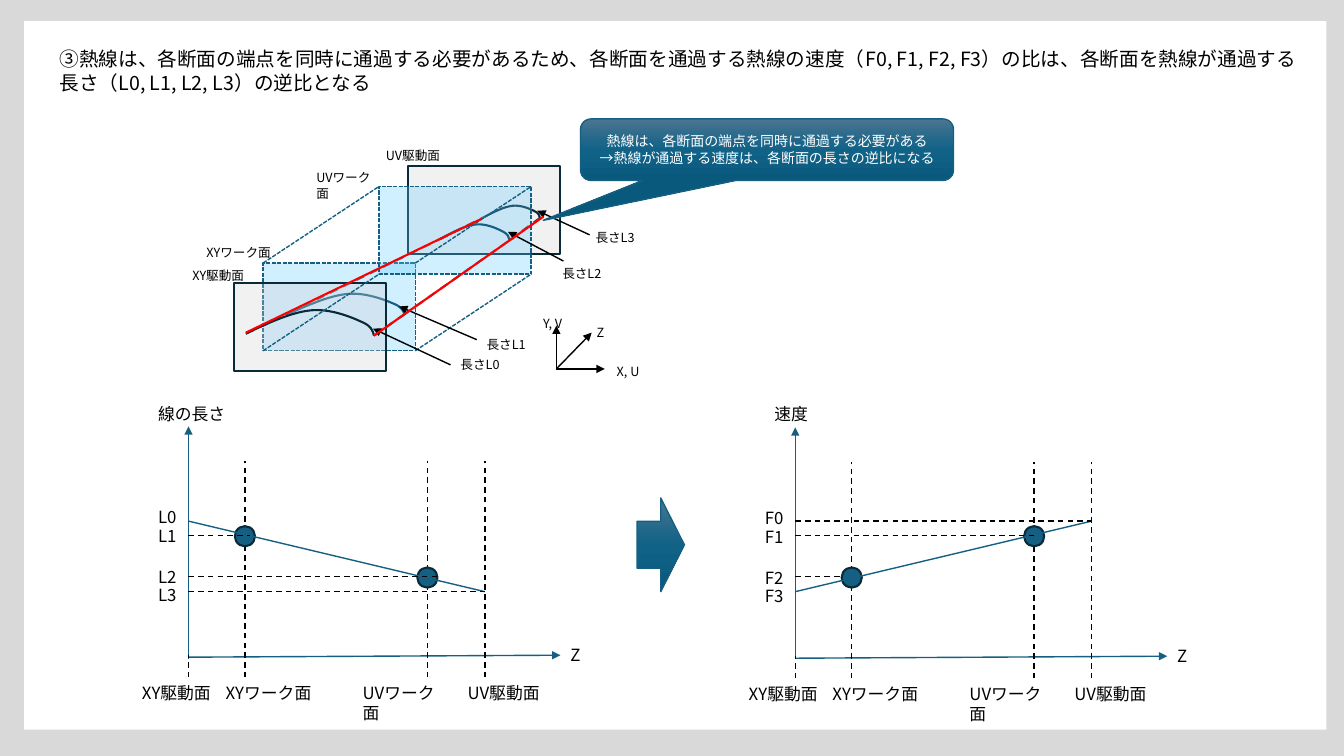
"""Build the slide on hot-wire speed ratios between cutting sections."""
import copy
import itertools

import pptx
import pptx.dml.color
import pptx.enum.dml
import pptx.enum.shapes
import pptx.enum.text
import pptx.util
from lxml import etree
from pptx.oxml.ns import qn

RGB = pptx.dml.color.RGBColor
BLACK, WHITE, GREY = RGB(0, 0, 0), RGB(255, 255, 255), RGB(0xD9, 0xD9, 0xD9)
TEAL, NAVY, RED = RGB(0x15, 0x60, 0x82), RGB(0x09, 0x2A, 0x39), RGB(255, 0, 0)
SKY, SILVER = RGB(0x66, 0xCC, 0xFF), RGB(0xD1, 0xD1, 0xD1)
GLOSS = (RGB(0x4C, 0x75, 0x91), RGB(0x10, 0x62, 0x87), RGB(0x09, 0x59, 0x7D))
FONT = "Noto Sans CJK JP"
KIND = pptx.enum.shapes.MSO_SHAPE
DASH = pptx.enum.dml.MSO_LINE.DASH
SHORT_DASH = pptx.enum.dml.MSO_LINE.SQUARE_DOT
LEFT, CENTER = pptx.enum.text.PP_ALIGN.LEFT, pptx.enum.text.PP_ALIGN.CENTER
ANCHOR = pptx.enum.text.MSO_ANCHOR

TITLE = ("③熱線は、各断面の端点を同時に通過する必要があるため、各断面を通過する熱線の速度"
         "（F0, F1, F2, F3）の比は、各断面を熱線が通過する長さ（L0, L1, L2, L3）の逆比となる")
CALLOUT = ["熱線は、各断面の端点を同時に通過する必要がある",
           "→熱線が通過する速度は、各断面の長さの逆比になる"]

Z_STOPS = (0, 0.56, 2.37, 2.94)
LEVELS = (5.17, 5.31, 5.72, 5.87)
STOP_LABELS = [("XY駆動面", -0.56, 0.96, False), ("XYワーク面", 0.27, 1.09, False),
               ("UVワーク面", 1.63, 1.07, True), ("UV駆動面", 2.67, 0.97, False)]
GRAPHS = [
    {"origin": 1.87, "drop": 0, "name": "線の長さ", "name_at": (1.47, 1.3), "align": LEFT,
     "letter": "L", "slope": (0, 3), "dots": ((1, 1), (2, 2)),
     "guides": ((1, 0.61), (2, 2.47), (3, 2.94))},
    {"origin": 7.89, "drop": 0.01, "name": "速度", "name_at": (7.57, 0.56), "align": CENTER,
     "letter": "F", "slope": (3, 0), "dots": ((1, 2), (2, 1)),
     "guides": ((1, 2.37), (0, 2.94), (2, 0.46))},
]

FACE = (1.51, 0.87)
FRONT_WORK, REAR_WORK = (2.61, 2.61), (3.76, 1.85)
ARC = [(0, 0), (0.23, -0.11), (0.45, -0.21), (0.64, -0.23), (0.83, -0.25), (1.03, -0.17),
       (1.14, -0.12), (1.24, -0.08), (1.26, -0.03), (1.27, 0.02)]
SECTIONS = [
    (FRONT_WORK, SKY, (2.87, 3.11), (0.9, 0.84)),
    ((2.32, 2.81), SILVER, (2.44, 3.31), (1, 1)),
    ((4.05, 1.65), SILVER, (4.81, 2.15), (0.43, 0.47)),
    (REAR_WORK, SKY, (4.37, 2.37), (0.54, 0.62)),
]
FACE_LABELS = [("XY駆動面", 1.81, 2.61, 0.77, False), ("XYワーク面", 1.95, 2.38, 0.87, False),
               ("UVワーク面", 3.04, 1.64, 0.84, True), ("UV駆動面", 3.73, 1.42, 0.78, False),
               ("X, U", 6.02, 3.56, 0.49, False), ("Y, V", 5.29, 3.08, 0.47, False),
               ("Z", 5.82, 3.17, 0.3, False)]
LENGTHS = [("長さL0", (4.47, 3.49), (4.47, 3.62), (3.7, 3.26)),
           ("長さL1", (4.73, 3.29), (4.73, 3.37), (3.96, 3.04)),
           ("長さL2", (5.48, 2.59), (5.59, 2.59), (5.04, 2.3)),
           ("長さL3", (5.81, 2.23), (5.85, 2.33), (5.33, 2.09))]
AXES_ORIGIN, AXES_ENDS = (5.52, 3.66), [(5.87, 3.3), (5.52, 3.23), (6, 3.66)]
HIDDEN_EDGES = [((2.88, 3.1), (4.39, 2.36), TEAL), ((2.44, 3.31), (2.88, 3.1), BLACK),
                ((3.71, 3.33), (4.01, 3.12), BLACK), ((5.06, 2.38), (5.36, 2.16), BLACK),
                ((4.37, 2.37), (4.81, 2.15), BLACK), ((4.01, 3.12), (5.06, 2.38), TEAL)]
WIRES = [((3.71, 3.33), (5.39, 2.15)), ((2.44, 3.3), (4.78, 2.17))]

inches = pptx.util.Inches


def style_paragraph(para, size, color, align):
    para.alignment = align
    para.font.size = pptx.util.Pt(size)
    para.font.name = FONT
    para.font.color.rgb = color
    defaults = para.font.fill._xPr
    etree.SubElement(defaults, qn("a:ea")).set("typeface", FONT)


def add_label(shapes, words, left, top, width, size, wrap=True, align=LEFT):
    height = 0.3 if size == 12 else 0.25
    box = shapes.add_textbox(*map(inches, (left, top, width, height)))
    box.text_frame.word_wrap = wrap
    box.text_frame.auto_size = pptx.enum.text.MSO_AUTO_SIZE.SHAPE_TO_FIT_TEXT
    box.text_frame.text = words
    style_paragraph(box.text_frame.paragraphs[0], size, BLACK, align)


def set_line(line, color, width, dash=None):
    line.color.rgb = color
    line.width = pptx.util.Pt(width)
    if dash:
        line.dash_style = dash


def add_line(shapes, start, end, color, width=1, dash=None, arrow=False):
    line = shapes.add_connector(pptx.enum.shapes.MSO_CONNECTOR.STRAIGHT,
                                *map(inches, (*start, *end)))
    set_line(line.line, color, width, dash)
    if arrow:
        etree.SubElement(line.line._ln, qn("a:tailEnd")).set("type", "triangle")
    etree.SubElement(line.element.spPr, qn("a:effectLst"))


def add_solid(shapes, kind, area, fill, outline=None, width=1, dash=None, opacity=None):
    shape = shapes.add_shape(kind, *map(inches, area))
    shape.shadow.inherit = False
    shape.fill.solid()
    shape.fill.fore_color.rgb = fill
    if opacity:
        color = shape.element.spPr.find(qn("a:solidFill"))[0]
        etree.SubElement(color, qn("a:alpha")).set("val", str(opacity * 1000))
    if outline is None:
        shape.line.fill.background()
    else:
        set_line(shape.line, outline, width, dash)
    return shape


def add_glossy(shapes, kind, area):
    shape = add_solid(shapes, kind, area, TEAL, TEAL)
    shape.fill.gradient()
    shape.fill.gradient_angle = 270
    stops = shape.element.spPr.find(qn("a:gradFill")).find(qn("a:gsLst"))
    stops.append(copy.deepcopy(stops[0]))
    for stop, color, position in zip(shape.fill.gradient_stops, GLOSS, (0, 0.5, 1)):
        stop.color.rgb = color
        stop.position = position
    return shape


def add_arc(shapes, start, scale, color):
    points = [(inches(start[0] + x * scale[0]), inches(start[1] + y * scale[1])) for x, y in ARC]
    builder = shapes.build_freeform(*points[0])
    builder.add_line_segments(points[1:], close=False)
    arc = builder.convert_to_shape()
    arc.shadow.inherit = False
    arc.fill.background()
    set_line(arc.line, color, 1.5)
    segments = list(arc.element.iter(qn("a:lnTo")))
    for first in range(0, len(segments), 3):
        curve = etree.SubElement(segments[first].getparent(), qn("a:cubicBezTo"))
        for segment in segments[first:first + 3]:
            curve.append(segment[0])
            segment.getparent().remove(segment)


def add_graph(shapes, graph):
    origin, drop = graph["origin"], graph["drop"]
    add_line(shapes, (origin, 6.52 + drop), (origin + 3.69, 6.5 + drop), TEAL, arrow=True)
    add_line(shapes, (origin, 6.54), (origin, 4.23 + drop), TEAL, arrow=True)
    add_label(shapes, "Z", origin + 3.69, 6.35 + drop, 0.33, 12, wrap=False)
    name_left, name_width = graph["name_at"]
    add_label(shapes, graph["name"], name_left, 3.96, name_width, 12, align=graph["align"])
    for stop, (words, shift, width, wrap) in zip(Z_STOPS, STOP_LABELS):
        top, bottom = (4.57 if stop else 6.5) + drop, 6.72 + drop
        add_line(shapes, (origin + stop, bottom), (origin + stop, top), BLACK, dash=DASH)
        add_label(shapes, words, origin + shift, bottom, width, 12, wrap)
    for stop, level in graph["dots"]:
        area = (origin + Z_STOPS[stop] - 0.1, LEVELS[level] - 0.09, 0.2, 0.2)
        add_solid(shapes, KIND.OVAL, area, TEAL, NAVY, 1.5)
    first, last = (LEVELS[level] for level in graph["slope"])
    add_line(shapes, (origin, first), (origin + Z_STOPS[-1], last), TEAL)
    for level, reach in graph["guides"]:
        add_line(shapes, (origin, LEVELS[level]), (origin + reach, LEVELS[level]), BLACK, dash=DASH)
    for number, top in enumerate((4.98, 5.17, 5.57, 5.75)):
        add_label(shapes, f"{graph['letter']}{number}", origin - 0.4, top + drop, 0.53, 12)


def add_sections(shapes):
    for start, end, color in HIDDEN_EDGES:
        add_line(shapes, start, end, color, 1.5, DASH)
    for corner, fill, start, scale in SECTIONS:
        color, width, dash = (TEAL, 1, SHORT_DASH) if fill == SKY else (NAVY, 1.5, None)
        add_solid(shapes, KIND.RECTANGLE, (*corner, *FACE), fill, color, width, dash, 30)
        add_arc(shapes, start, scale, color)
    for across, down in itertools.product((0, FACE[0]), (0, FACE[1])):
        ends = [(x + across, y + down) for x, y in (FRONT_WORK, REAR_WORK)]
        add_line(shapes, *ends, TEAL, dash=SHORT_DASH)
    for words, left, top, width, wrap in FACE_LABELS:
        add_label(shapes, words, left, top, width, 9, wrap)
    for words, place, start, end in LENGTHS:
        add_label(shapes, words, *place, 0.86, 9)
        add_line(shapes, start, end, BLACK, arrow=True)
    for end in AXES_ENDS:
        add_line(shapes, AXES_ORIGIN, end, BLACK, arrow=True)


def main():
    deck = pptx.Presentation()
    deck.slide_width, deck.slide_height = inches(40 / 3), inches(7.5)
    page = deck.slides.add_slide(deck.slide_layouts[5])
    page.background.fill.solid()
    page.background.fill.fore_color.rgb = GREY
    panel = add_solid(page.shapes, KIND.RECTANGLE, (0.24, 0.21, 12.92, 7.03), WHITE)
    title = page.shapes.title
    panel.element.addnext(title.element)
    title.left, title.top, title.width, title.height = map(inches, (0.49, 0.42, 12.58, 0.57))
    title.text_frame.text = TITLE
    title.text_frame.vertical_anchor = ANCHOR.TOP
    style_paragraph(title.text_frame.paragraphs[0], 14, BLACK, LEFT)
    for graph in GRAPHS:
        add_graph(page.shapes.add_group_shape().shapes, graph)
    add_glossy(page.shapes, KIND.RIGHT_ARROW, (6.32, 4.94, 0.47, 0.93))
    add_sections(page.shapes.add_group_shape().shapes)
    for start, end in WIRES:
        add_line(page.shapes, start, end, RED, 1.5)
    callout = add_glossy(page.shapes, KIND.ROUNDED_RECTANGULAR_CALLOUT, (5.76, 1.18, 3.7, 0.61))
    for index, value in enumerate((-0.6, 1.15, 0.17)):
        callout.adjustments[index] = value
    callout.text_frame.text = "\n".join(CALLOUT)
    callout.text_frame.vertical_anchor = ANCHOR.MIDDLE
    for para in callout.text_frame.paragraphs:
        style_paragraph(para, 10, WHITE, CENTER)
    deck.save("out.pptx")


if __name__ == "__main__":
    main()
